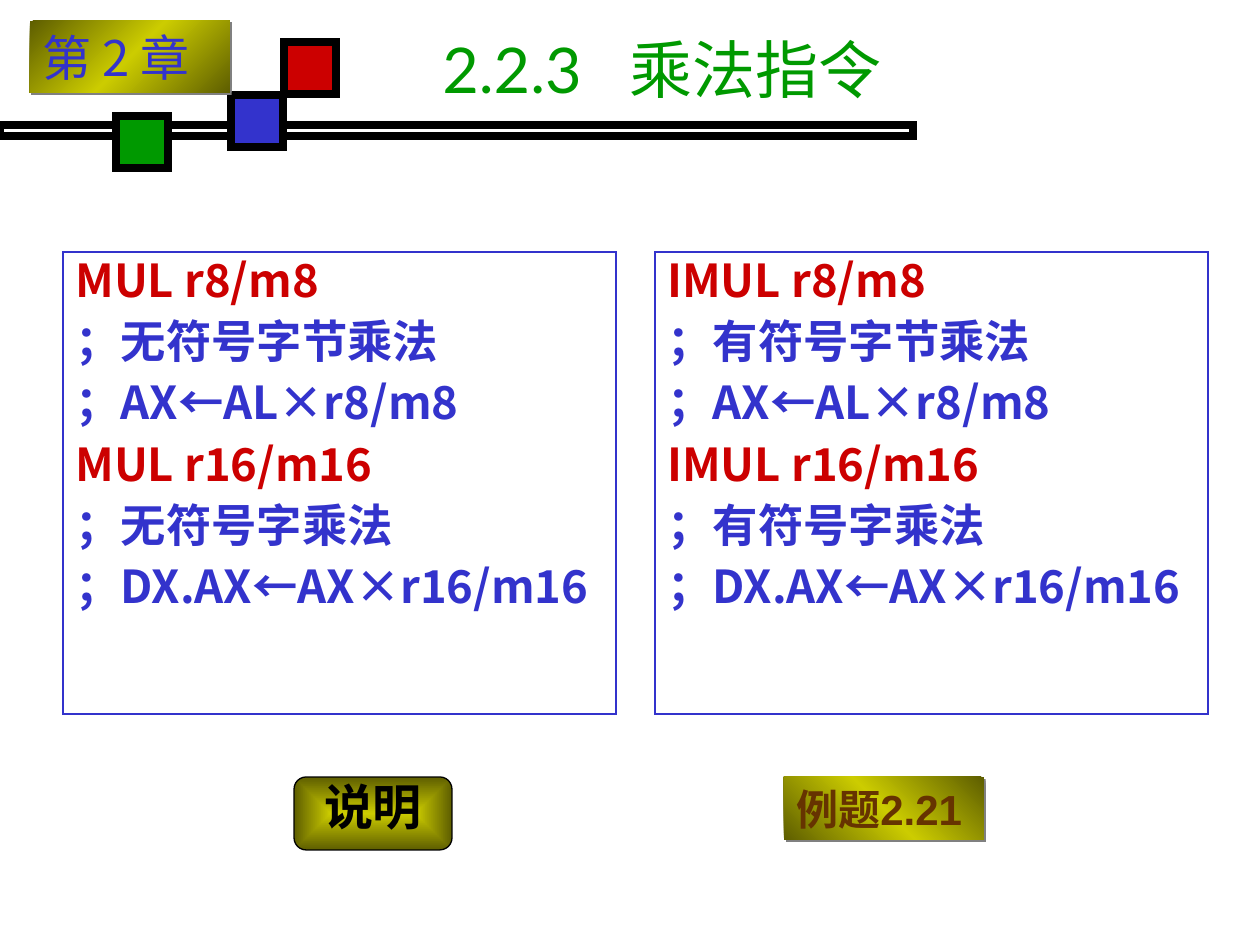
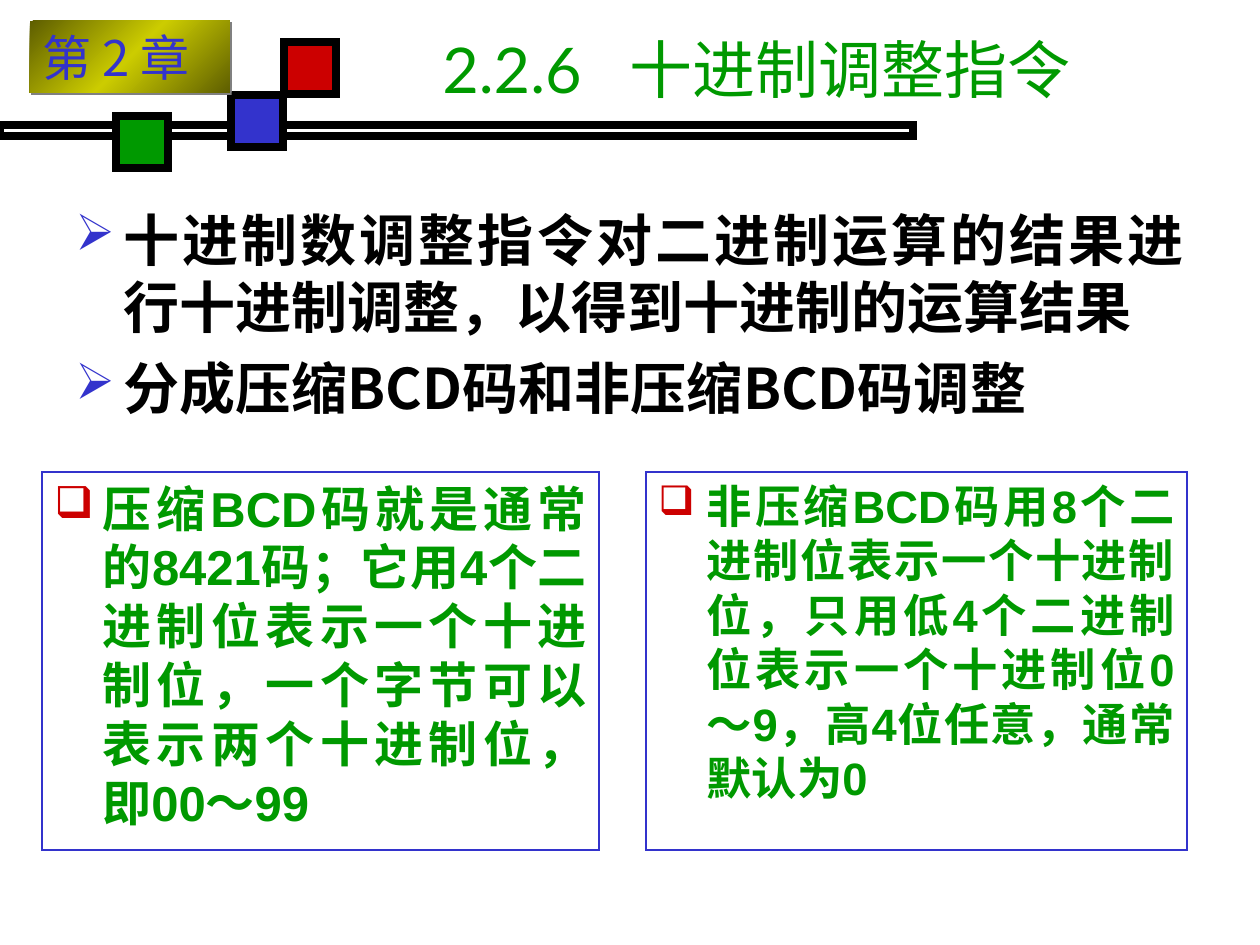
import pptx
import pptx.util
import pptx.dml.color
import pptx.enum.shapes
import pptx.enum.text
import pptx.oxml
import pptx.oxml.ns

RGB = pptx.dml.color.RGBColor
KIND = pptx.enum.shapes.MSO_SHAPE
ALIGN = pptx.enum.text.PP_ALIGN
ANCHOR = pptx.enum.text.MSO_ANCHOR
Pt = pptx.util.Pt

# Colours
BLACK = RGB(0x00, 0x00, 0x00)
WHITE = RGB(0xFF, 0xFF, 0xFF)
BLUE = RGB(0x33, 0x33, 0xCC)
GREEN = RGB(0x00, 0x99, 0x00)
RED = RGB(0xCC, 0x00, 0x00)
BROWN = RGB(0x66, 0x33, 0x00)
GREY = RGB(0x80, 0x80, 0x80)
GOLD = RGB(0xCC, 0xCC, 0x00)
OLIVE = RGB(0x5E, 0x5E, 0x00)

# Fonts and scale
HEAD = "Lato"
SANS = "Arial"
HAN = "Noto Sans CJK SC"
HAN_TAG = "Noto Sans CJK JP"
WIDE, HIGH = 1260, 945
SCALE = 914400 / 126
HANG = 48


def px(size):
    return round(size * SCALE)


def xml(text):
    """Parse one drawing element, adding its namespace."""
    cut = text.index(" ") if " " in text.split(">", 1)[0] else text.index(">")
    return pptx.oxml.parse_xml(f"{text[:cut]} {pptx.oxml.ns.nsdecls('a')}{text[cut:]}")


def block(slide, box, fill=None, line=None, width=0.75, kind=KIND.RECTANGLE):
    shape = slide.shapes.add_shape(kind, *map(px, box))
    shape.shadow.inherit = False
    if fill is None:
        shape.fill.background()
    else:
        shape.fill.solid()
        shape.fill.fore_color.rgb = fill
    if line is None:
        shape.line.fill.background()
    else:
        shape.line.color.rgb = line
        shape.line.width = Pt(width)
        shape.line._get_or_add_ln().append(xml('<a:miter lim="800000"/>'))
    return shape


def shade(shape, stops, course):
    """Fill a shape with a gradient along the given course."""
    marks = "".join(f'<a:gs pos="{at * 1000}"><a:srgbClr val="{tone}"/></a:gs>'
                    for at, tone in stops)
    shape.fill.background()
    old = shape._element.spPr.find(pptx.oxml.ns.qn("a:noFill"))
    old.addnext(xml(f'<a:gradFill rotWithShape="1"><a:gsLst>{marks}</a:gsLst>{course}</a:gradFill>'))
    shape._element.spPr.remove(old)


def style(para, font, size, tone, bold=False):
    for run in para.runs:
        run.font.name = font
        run.font.size = Pt(size)
        run.font.bold = bold
        run.font.color.rgb = tone
        east = HAN if font in (HEAD, SANS) else font
        run.font._element.append(xml(f'<a:ea typeface="{east}"/>'))


def hang(para, space, sign=None, tone=None):
    """Justify a paragraph with a hanging indent and an optional bullet."""
    para.alignment = ALIGN.JUSTIFY
    para.space_before = Pt(space)
    props = para._p.get_or_add_pPr()
    props.set("marL", str(px(HANG)))
    props.set("indent", str(-px(HANG)))
    props.set("hangingPunct", "0")
    if sign:
        props.append(xml(f'<a:buClr><a:srgbClr val="{tone}"/></a:buClr>'))
        props.append(xml('<a:buSzPct val="90000"/>'))
        props.append(xml(f'<a:buChar char="{sign}"/>'))


def fill_text(shape, lines):
    frame = shape.text_frame
    frame.word_wrap = True
    frame.vertical_anchor = ANCHOR.TOP
    frame.text = "\n".join(lines)
    return frame.paragraphs


def plate(slide, box, angle, text, *look):
    """Gold plate with a hard shadow and a label on one line."""
    shape = block(slide, box)
    shade(shape, [(0, OLIVE), (50, GOLD), (100, OLIVE)],
          f'<a:lin ang="{angle * 60000}" scaled="1"/>')
    cast = shape._element.spPr.find(pptx.oxml.ns.qn("a:effectLst"))
    cast.append(xml('<a:outerShdw dist="17780" dir="2700000">'
                    f'<a:srgbClr val="{GREY}"/></a:outerShdw>'))
    para = fill_text(shape, [text])[0]
    para.alignment = ALIGN.LEFT
    style(para, *look)
    # The label may run up to the right edge
    shape.text_frame.margin_right = 0


def button(slide, box, text):
    shape = block(slide, box, line=BLACK, kind=KIND.ROUNDED_RECTANGLE)
    shade(shape, [(0, GOLD), (100, OLIVE)],
          '<a:path path="rect"><a:fillToRect l="50000" t="50000" r="50000" b="50000"/></a:path>')
    para = fill_text(shape, [text])[0]
    para.alignment = ALIGN.CENTER
    para.line_spacing = 0.7
    style(para, SANS, 28, BLACK, True)
    shape.text_frame.vertical_anchor = ANCHOR.MIDDLE


def header(slide, box, number, topic):
    x, y, w, h = box
    # Title, with a tab between number and topic
    title = slide.shapes.add_textbox(*map(px, (x + 430, y + 10, w - 430, 116)))
    para = fill_text(title, [f"{number}\t{topic}"])[0]
    title.text_frame.vertical_anchor = ANCHOR.MIDDLE
    para._p.get_or_add_pPr().append(
        xml(f'<a:tabLst><a:tab pos="{px(187)}" algn="l"/></a:tabLst>'))
    style(para, HEAD, 36, GREEN)
    # Bar and squares
    block(slide, (x, y + 125, 913, 11), line=BLACK, width=4.5)
    for left, top, tone in ((231, 95, BLUE), (116, 116, GREEN), (284, 42, RED)):
        block(slide, (x + left, y + top, 52, 52), tone, BLACK, 4.5)
    # Chapter plate
    plate(slide, (x + 30, y + 21, 200, 72), 45, "第 2 章", HAN_TAG, 28, BLUE)


def code(slide, box, name, sign):
    """Panel of byte and word forms of one instruction."""
    lines = []
    for bits, unit, goal, base in ((8, "字节", "AX", "AL"), (16, "字", "DX.AX", "AX")):
        form = f"r{bits}/m{bits}"
        lines += [f"{name} {form}", f"；{sign}{unit}乘法", f"；{goal}←{base}×{form}"]
    for para in fill_text(block(slide, box, WHITE, BLUE), lines):
        hang(para, 7)
        para.line_spacing = 0.9
        style(para, HAN, 25.9, RED if para.text.startswith(name) else BLUE, True)


def note(slide, box, text, size):
    para = fill_text(block(slide, box, line=BLUE), [text])[0]
    hang(para, 7, "❑", RED)
    style(para, SANS, size, GREEN, True)


def points(slide, box, lines):
    shape = slide.shapes.add_textbox(*map(px, box))
    for para in fill_text(shape, lines):
        hang(para, 8, "➢", BLUE)
        style(para, HAN, 32, BLACK, True)


def start(deck, number, topic):
    slide = deck.slides.add_slide(deck.slide_layouts[6])
    header(slide, (0, 0, WIDE, 172), number, topic)
    return slide


def multiply(deck):
    slide = start(deck, "2.2.3", "乘法指令")
    for col, words in enumerate((("MUL", "无符号"), ("IMUL", "有符号"))):
        code(slide, (63 + col * 592, 252, 553, 462), *words)
    plate(slide, (784, 777, 200, 63), 315, "例题2.21", SANS, 24, BROWN, True)
    button(slide, (294, 777, 158, 73), "说明")


def adjust(deck):
    slide = start(deck, "2.2.6", "十进制调整指令")
    note(slide, (42, 472, 557, 378),
         "压缩BCD码就是通常的8421码；它用4个二进制位表示一个十进制位，"
         "一个字节可以表示两个十进制位，即00～99", 28)
    note(slide, (646, 472, 541, 378),
         "非压缩BCD码用8个二进制位表示一个十进制位，只用低4个二进制位"
         "表示一个十进制位0～9，高4位任意，通常默认为0", 25.9)
    points(slide, (63, 199, 1134, 231),
           ["十进制数调整指令对二进制运算的结果进行十进制调整，以得到十进制的运算结果",
            "分成压缩BCD码和非压缩BCD码调整"])


def main():
    deck = pptx.Presentation()
    deck.slide_width, deck.slide_height = px(WIDE), px(HIGH)
    multiply(deck)
    adjust(deck)
    deck.save("out.pptx")


if __name__ == "__main__":
    main()
